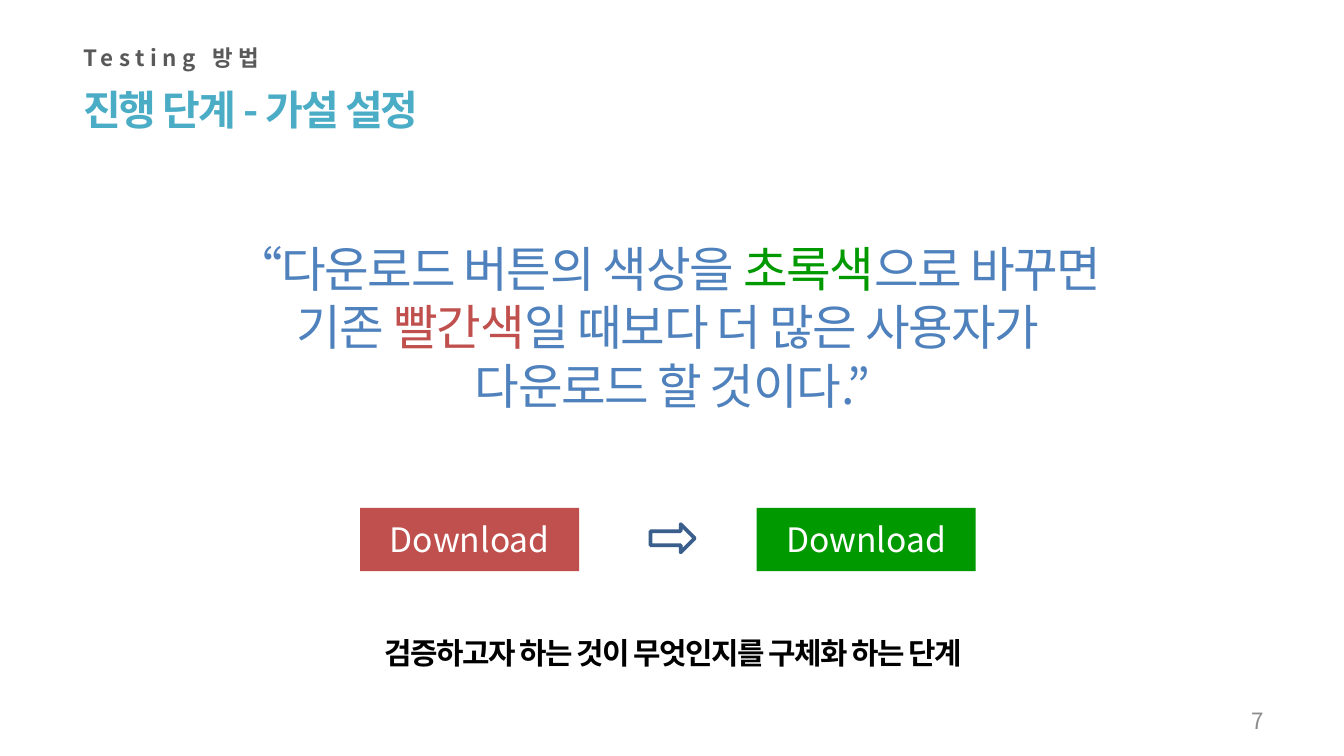
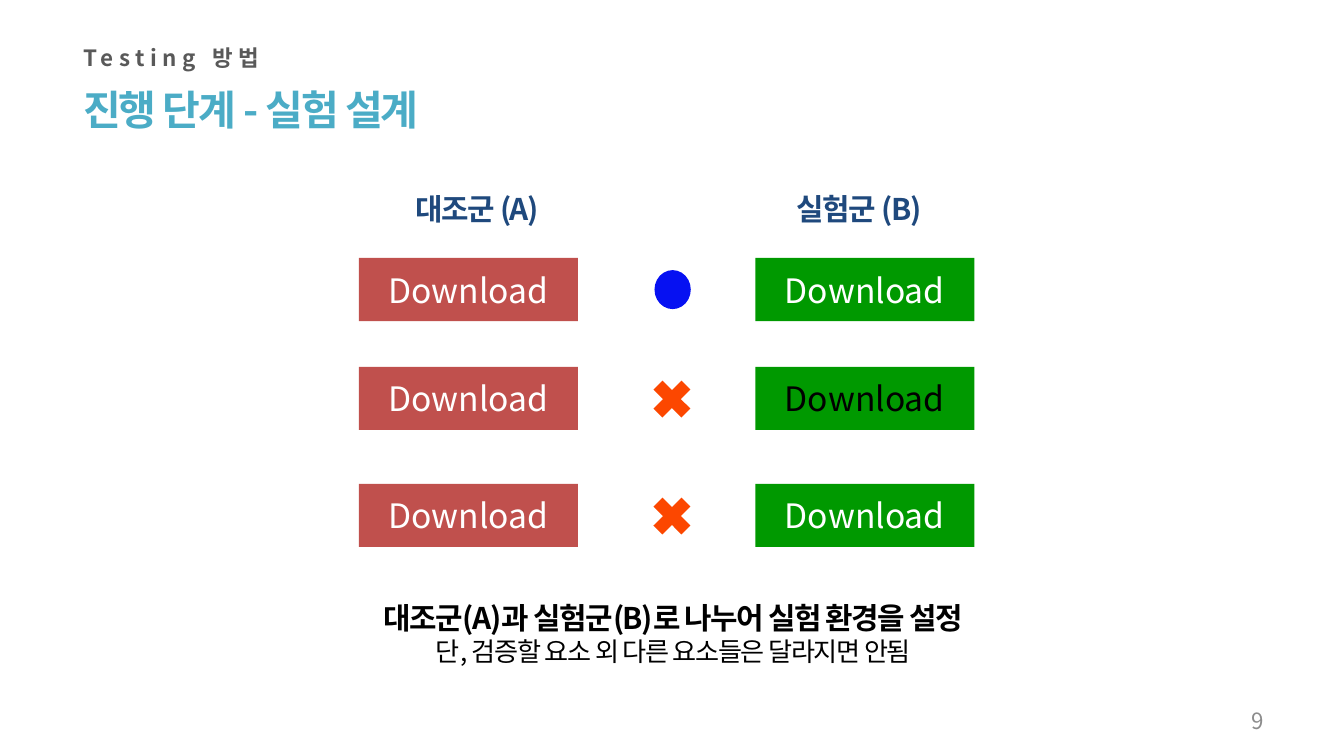
from lxml import etree
from pptx import Presentation
from pptx import util as u
from pptx.dml.color import RGBColor
from pptx.enum import shapes, text
from pptx.oxml.ns import qn

PX = 9144  # 100 px to the inch
FONT = "Noto Sans CJK KR"
RED, GREEN, BLUE = "C0504D", "009900", "4F81BD"
BLACK, WHITE, NAVY = "000000", "FFFFFF", "1F497D"
LEFT, CENTER, RIGHT = text.PP_ALIGN.LEFT, text.PP_ALIGN.CENTER, text.PP_ALIGN.RIGHT
SHAPE = shapes.MSO_SHAPE

BUTTON_W, BUTTON_H = 163, 47


def px(*lengths):
    return [u.Emu(length * PX) for length in lengths]


def color(hex_value):
    return RGBColor.from_string(hex_value)


def write(para, content, size, ink, bold=False, spacing=0, align=LEFT):
    """Fill a paragraph; content is a string or a list of (string, colour)."""
    para.alignment = align
    font = para.font
    font.size, font.bold, font.name = u.Pt(size), bold, FONT
    font.color.rgb = color(ink)
    properties = para._p.get_or_add_pPr().find(qn("a:defRPr"))
    properties.set("spc", str(round(spacing * 100)))
    etree.SubElement(properties, qn("a:ea"), typeface=FONT)
    spans = [(content, ink)] if isinstance(content, str) else content
    for words, span_ink in spans:
        span = para.add_run()
        span.text = words
        if span_ink != ink:
            span.font.color.rgb = color(span_ink)


def add_text(page, at, lines, grow=True):
    """Add a text box; each line is a dict of arguments for write()."""
    box = page.shapes.add_textbox(*px(*at))
    frame = box.text_frame
    frame.word_wrap = True
    if grow:
        frame.auto_size = text.MSO_AUTO_SIZE.SHAPE_TO_FIT_TEXT
    else:
        frame.vertical_anchor = text.MSO_ANCHOR.MIDDLE
    for index, line in enumerate(lines):
        para = frame.add_paragraph() if index else frame.paragraphs[0]
        write(para, **line)


def add_figure(page, kind, at, fill=None, line=None):
    figure = page.shapes.add_shape(kind, *px(*at))
    figure.shadow.inherit = False
    if fill:
        figure.fill.solid()
        figure.fill.fore_color.rgb = color(fill)
    else:
        figure.fill.background()
    if line:
        figure.line.color.rgb = color(line)
        figure.line.width = u.Pt(2)
    else:
        figure.line.fill.background()
    return figure


def add_button(page, left, top, fill, ink=WHITE):
    button = add_figure(page, SHAPE.RECTANGLE, (left, top, BUTTON_W, BUTTON_H), fill)
    frame = button.text_frame
    frame.vertical_anchor = text.MSO_ANCHOR.MIDDLE
    write(frame.paragraphs[0], "Download", 18, ink, align=CENTER)


def add_page(deck, title, number):
    page = deck.slides.add_slide(deck.slide_layouts[6])
    add_text(page, (52, 28, 402, 30),
             [dict(content="Testing 방법", size=12, ink="595959", bold=True, spacing=3)])
    add_text(page, (52, 58, 339, 47),
             [dict(content=title, size=22, ink="4BACC6", bold=True, spacing=-1)])
    add_text(page, (717, 521, 233, 30),
             [dict(content=number, size=12, ink="8C8C8C", align=RIGHT)], grow=False)
    return page


def build_hypothesis(deck):
    page = add_page(deck, "진행 단계 - 가설 설정", "7")
    add_text(page, (142, 467, 718, 37),
             [dict(content="검증하고자 하는 것이 무엇인지를 구체화 하는 단계",
                   size=16, ink=BLACK, bold=True, spacing=-0.8, align=CENTER)])
    quote = [
        [("“다운로드 버튼의 색상을 ", BLUE), ("초록색", GREEN), ("으로 바꾸면 ", BLUE)],
        [("기존 ", BLUE), ("빨간색", RED), ("일 때보다 더 많은 사용자가 ", BLUE)],
        "다운로드 할 것이다.”",
    ]
    add_text(page, (88, 173, 825, 141),
             [dict(content=line, size=26, ink=BLUE, spacing=-0.8, align=CENTER)
              for line in quote])
    add_button(page, 268, 378, RED)
    add_button(page, 563, 378, GREEN)
    add_figure(page, SHAPE.RIGHT_ARROW, (484, 390, 33, 21), line="3A5F8C")


def build_experiment(deck):
    page = add_page(deck, "진행 단계 - 실험 설계", "9")
    add_text(page, (142, 441, 718, 61), [
        dict(content="대조군(A)과 실험군(B)로 나누어 실험 환경을 설정",
             size=16, ink=BLACK, bold=True, spacing=-0.7, align=CENTER),
        dict(content="단, 검증할 요소 외 다른 요소들은 달라지면 안됨",
             size=14, ink=BLACK, spacing=-0.7, align=CENTER),
    ])
    for left, group in ((285, "대조군 (A)"), (569, "실험군 (B)")):
        add_text(page, (left, 137, 140, 37),
                 [dict(content=group, size=16, ink=NAVY, bold=True,
                       spacing=-0.7, align=CENTER)])

    valid = (SHAPE.OVAL, 27, 29, "0611F2")
    invalid = (SHAPE.MATH_MULTIPLY, 40, 40, "FC4700")
    rows = [(192, WHITE, valid), (273, BLACK, invalid), (360, WHITE, invalid)]
    for top, test_ink, (kind, width, height, fill) in rows:
        add_button(page, 267, top, RED)
        add_button(page, 562, top, GREEN, test_ink)
        mark_at = (500 - width // 2, top + (BUTTON_H - height + 1) // 2, width, height)
        add_figure(page, kind, mark_at, fill)


def main():
    deck = Presentation()
    deck.slide_width = px(1000)[0]
    deck.slide_height = u.Emu(deck.slide_width * 9 // 16)
    build_hypothesis(deck)
    build_experiment(deck)
    deck.save("out.pptx")


if __name__ == "__main__":
    main()
